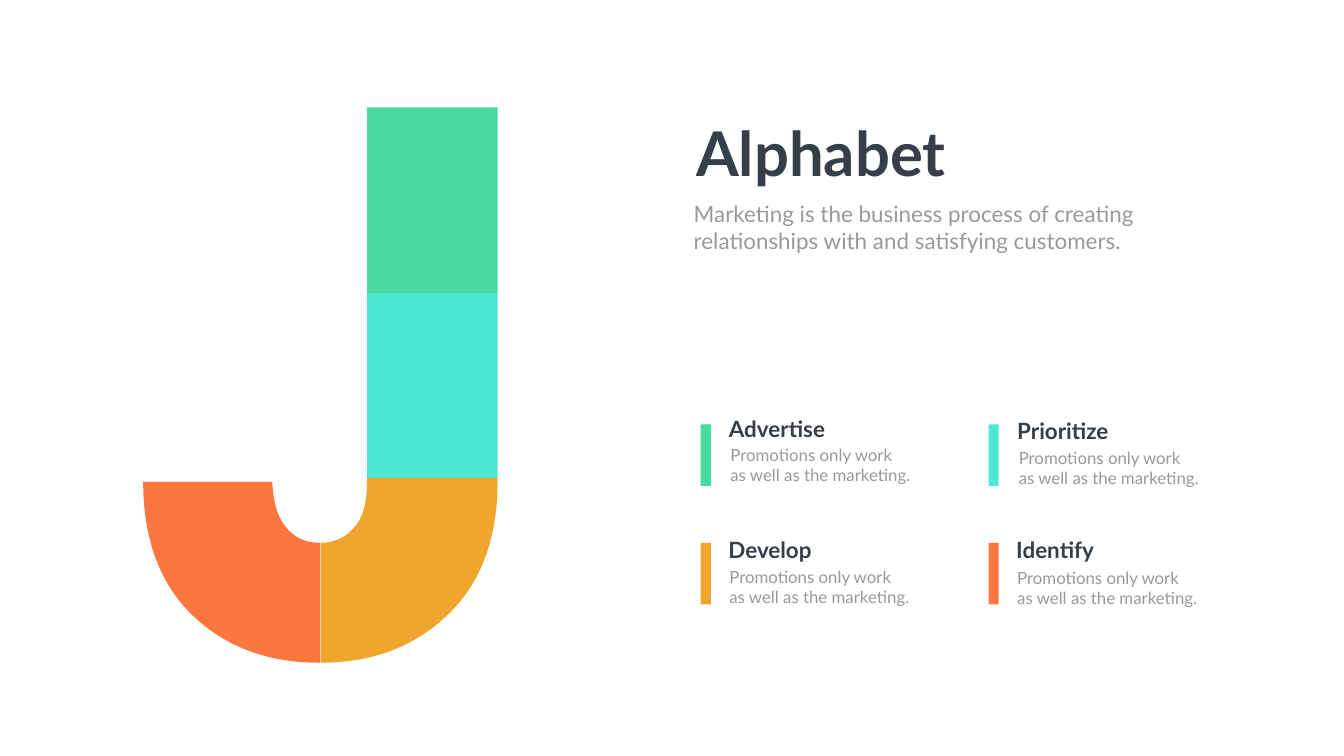
from pptx import Presentation
from pptx import util as u
from pptx.dml.color import RGBColor
from pptx.enum import shapes, text
from pptx.oxml import ns
from lxml import etree

PX = u.Inches(1) // 100
FONT = "Lato"
PAPER = RGBColor(0xFE, 0xFF, 0xFF)
INK = RGBColor(0x35, 0x3E, 0x49)
GRAY = RGBColor(0x98, 0x99, 0x98)
GREEN = RGBColor(0x48, 0xDA, 0x9F)
AQUA = RGBColor(0x4B, 0xE8, 0xD4)
AMBER = RGBColor(0xF0, 0xA5, 0x2C)
ORANGE = RGBColor(0xFD, 0x76, 0x3E)

HOOK_LEFT = [
    [(634, 1077)],
    [(608, 1077), (585, 1068), (568, 1047)],
    [(551, 1028), (542, 997), (540, 956)],
    [(284, 956)],
    [(284, 1070), (317, 1158), (382, 1221)],
    [(448, 1284), (532, 1315), (634, 1315)],
    [(635, 1315)],
    [(635, 1077)],
]
HOOK_RIGHT = [
    [(728, 956)],
    [(728, 997), (720, 1028), (702, 1047)],
    [(685, 1067), (663, 1077), (636, 1077)],
    [(636, 1315)],
    [(739, 1315), (822, 1283), (888, 1220)],
    [(954, 1157), (987, 1069), (987, 956)],
    [(987, 948)],
    [(728, 948)],
]

BAR_COLUMNS = (1390, 1961)
BAR_ROWS = (842, 1077)
ITEM_TEXT = ["Promotions only work", "as well as the marketing."]
ITEMS = [
    ("Advertise", GREEN, (1436, 818), (1439, 878)),
    ("Prioritize", AQUA, (2008, 822), (2011, 883)),
    ("Develop", AMBER, (1435, 1059), (1437, 1120)),
    ("Identify", ORANGE, (2006, 1059), (2008, 1121)),
]


def place(target, left, top, width, height):
    target.left, target.top = left * PX, top * PX
    target.width, target.height = width * PX, height * PX


def write(target, lines, size, color, bold=False, align=text.PP_ALIGN.LEFT):
    frame = target.text_frame
    frame.word_wrap = True
    frame.auto_size = text.MSO_AUTO_SIZE.NONE
    frame.vertical_anchor = text.MSO_ANCHOR.TOP
    for index, line in enumerate(lines):
        paragraph = frame.add_paragraph() if index else frame.paragraphs[0]
        properties = paragraph._p.get_or_add_pPr()
        properties.set("marL", "0")
        properties.set("indent", "0")
        etree.SubElement(properties, ns.qn("a:buNone"))
        paragraph.text = line
        paragraph.alignment = align
        paragraph.space_before = u.Pt(0)
        font = paragraph.font
        font.name, font.size, font.bold = FONT, u.Pt(size), bold
        font.color.rgb = color


def add_text(slide, box, lines, **style):
    write(slide.shapes.add_textbox(*(n * PX for n in box)), lines, **style)


def paint(target, color):
    target.shadow.inherit = False
    target.fill.solid()
    target.fill.fore_color.rgb = color
    target.line.fill.background()


def add_block(slide, box, color):
    block = slide.shapes.add_shape(
        shapes.MSO_SHAPE.RECTANGLE, *(n * PX for n in box))
    paint(block, color)


def add_hook(slide, segments, color):
    points = [point for segment in segments for point in segment]
    builder = slide.shapes.build_freeform(*points[0], scale=PX)
    builder.add_line_segments(points[1:], close=True)
    hook = builder.convert_to_shape()
    outline = next(hook._element.iter(ns.qn("a:path")))
    steps = iter(list(outline))
    for segment in segments:
        first, *others = [next(steps) for _ in segment]
        if others:
            first.tag = ns.qn("a:cubicBezTo")
            for other in others:
                first.append(other[0])
                outline.remove(other)
    paint(hook, color)


def add_curve_tags(slide, segments, color):
    add_hook(slide, segments, color)


def add_letter(slide):
    add_hook(slide, HOOK_LEFT, ORANGE)
    for row, color in enumerate((GREEN, AQUA)):
        add_block(slide, (728, 213 + row * 368, 259, 368), color)
    add_hook(slide, HOOK_RIGHT, AMBER)


def add_items(slide):
    for index, (heading, color, heading_at, detail_at) in enumerate(ITEMS):
        row, column = divmod(index, 2)
        add_block(slide, (BAR_COLUMNS[column], BAR_ROWS[row], 20, 122), color)
        add_text(slide, (*heading_at, 221, 64), [heading],
                 size=32, color=INK, bold=True)
        add_text(slide, (*detail_at, 382, 91), ITEM_TEXT, size=24, color=GRAY)


def main():
    deck = Presentation()
    deck.slide_width, deck.slide_height = 2666 * PX, 1500 * PX
    slide = deck.slides.add_slide(deck.slide_layouts[1])
    slide.background.fill.solid()
    slide.background.fill.fore_color.rgb = PAPER

    title, summary = slide.placeholders
    place(title, 1366, 223, 525, 158)
    write(title, ["Alphabet"], size=88, color=INK, bold=True,
          align=text.PP_ALIGN.CENTER)
    place(summary, 1366, 392, 908, 118)
    write(summary, ["Marketing is the business process of creating",
                    "relationships with and satisfying customers."],
          size=32, color=GRAY)

    add_letter(slide)
    add_items(slide)
    deck.save("out.pptx")


if __name__ == "__main__":
    main()
